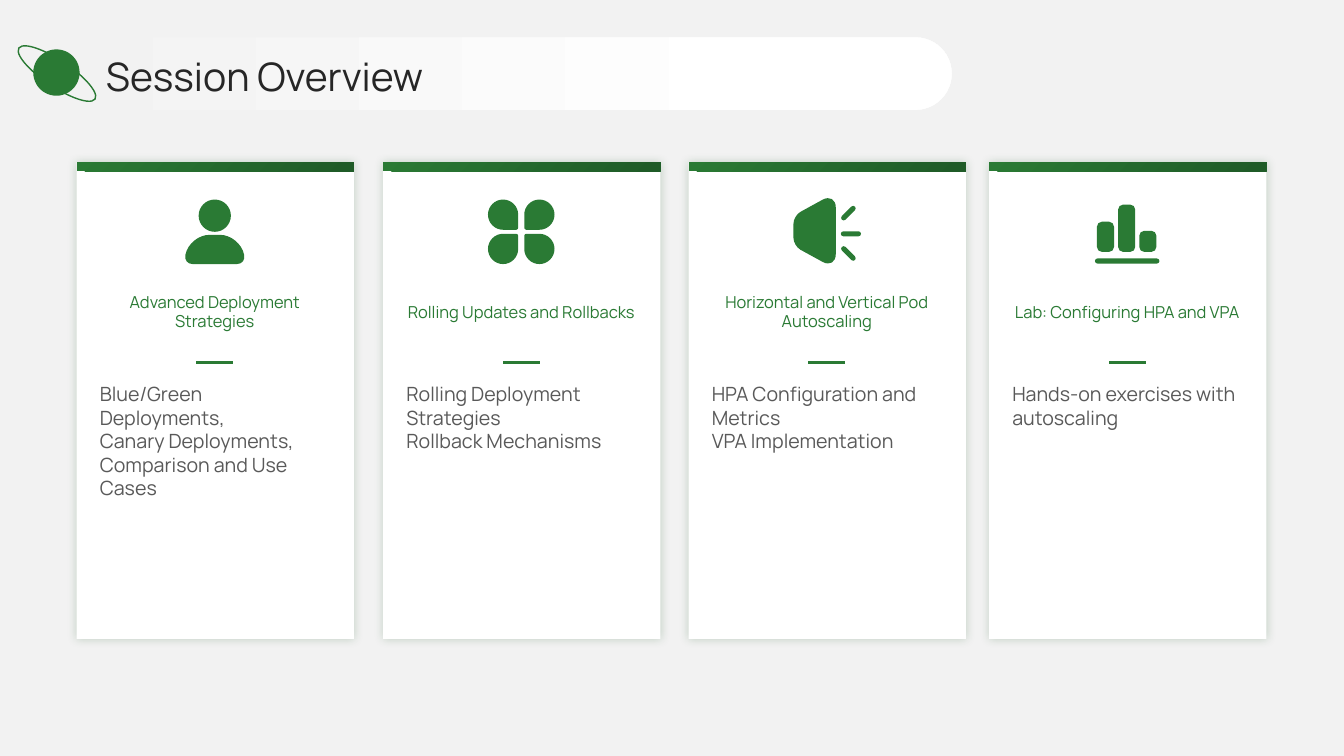
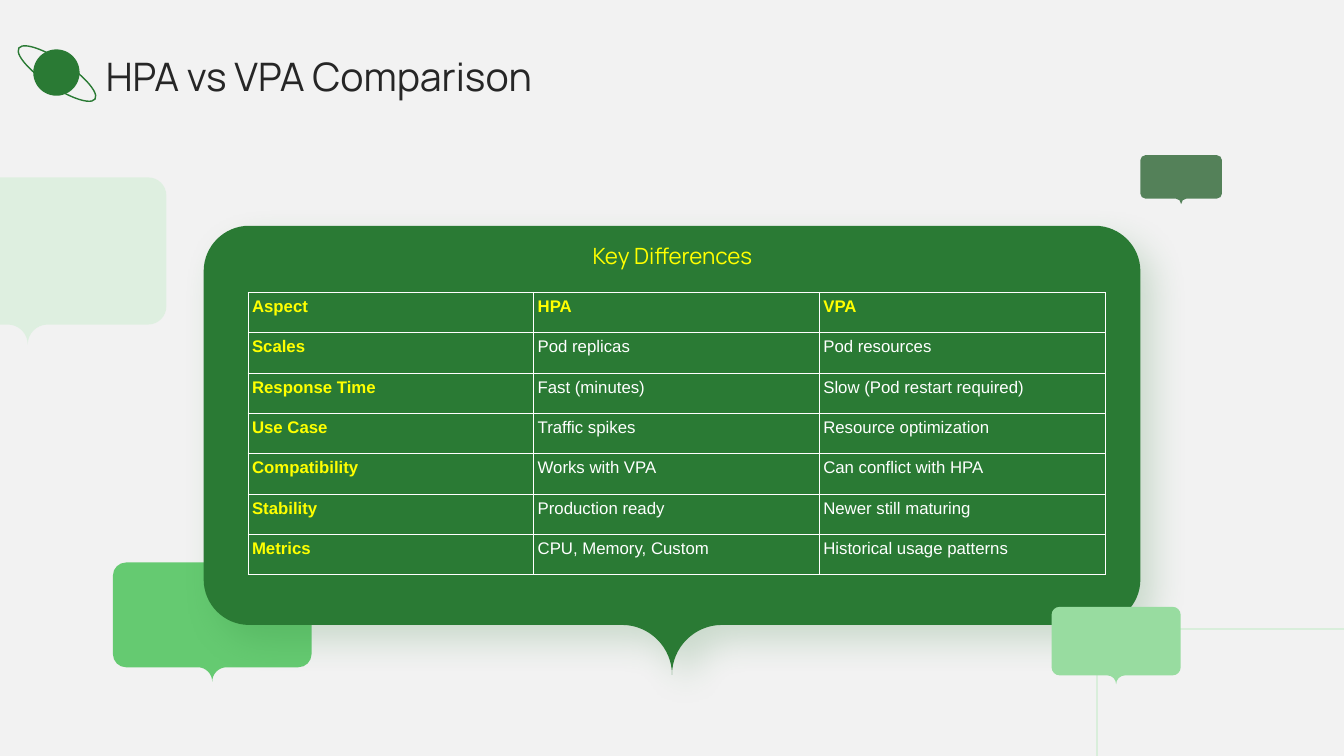
import math

from lxml import etree
from pptx import Presentation
from pptx.dml.color import RGBColor
from pptx.enum import shapes, text
from pptx.oxml import ns
from pptx.util import Inches, Pt

# Shared colours and fonts
GREEN = RGBColor(0x2A, 0x7A, 0x34)
DARK_GREEN = RGBColor(0x20, 0x5C, 0x27)
BAND_END = RGBColor(0x1F, 0x5B, 0x27)
BRIGHT_GREEN = RGBColor(0x65, 0xCA, 0x71)
SOFT_GREEN = RGBColor(0x98, 0xDC, 0xA0)
PALE_GREEN = RGBColor(0xCC, 0xED, 0xD0)
YELLOW = RGBColor(0xFF, 0xFF, 0x00)
WHITE = RGBColor(0xFF, 0xFF, 0xFF)
BACKGROUND = RGBColor(0xF2, 0xF2, 0xF2)
TITLE_COLOR = RGBColor(0x26, 0x26, 0x26)
BODY_COLOR = RGBColor(0x59, 0x59, 0x59)
TITLE_FONT = "Manrope"
TABLE_FONT = "Arial"

SLIDE_WIDTH, SLIDE_HEIGHT = 13.33, 7.5
CARD_TOP, CARD_WIDTH, CARD_HEIGHT = 1.61, 2.75, 4.73
ICON_CENTER, ICON_MIDDLE = 1.37, 2.3
ROW_HEIGHT = 0.4
CIRCLE = 0.55  # handle length that turns a cubic curve into a quarter circle


# Outlines: lists of corners, each one point or the four points of a curve
def toward(start, end, share):
    return tuple(a + (b - a) * share for a, b in zip(start, end))


def rounded(corners):
    """Turn (x, y, radius) corners into a smooth closed outline."""
    outline = []
    for index, (x, y, radius) in enumerate(corners):
        corner = (x, y)
        if not radius:
            outline.append([corner])
            continue
        start, end = [
            toward(corner, other[:2], radius / math.dist(corner, other[:2]))
            for other in (corners[index - 1], corners[(index + 1) % len(corners)])]
        outline.append([start, toward(start, corner, CIRCLE),
                        toward(end, corner, CIRCLE), end])
    return outline


def box(left, top, width, height, radius):
    right, bottom = left + width, top + height
    return rounded([(left, top, radius), (right, top, radius),
                    (right, bottom, radius), (left, bottom, radius)])


def ray(x1, y1, x2, y2, width=0.05):
    half = width / 2
    length = math.hypot(x2 - x1, y2 - y1)
    dx, dy = (y1 - y2) / length * half, (x2 - x1) / length * half
    return rounded([(x1 + dx, y1 + dy, half), (x2 + dx, y2 + dy, half),
                    (x2 - dx, y2 - dy, half), (x1 - dx, y1 - dy, half)])


def person_icon():
    body = [(-0.25, 0.03, 0.2), (0.25, 0.03, 0.2),
            (0.31, 0.32, 0.09), (-0.31, 0.32, 0.09)]
    return [box(-0.16, -0.32, 0.32, 0.32, 0.16), rounded(body)]


def petals_icon():
    return [rounded([(0.03 * sx, 0.02 * sy, 0.02), (0.33 * sx, 0.02 * sy, 0.15),
                     (0.33 * sx, 0.32 * sy, 0.15), (0.03 * sx, 0.32 * sy, 0.15)])
            for sx in (-1, 1) for sy in (-1, 1)]


def speaker_icon():
    horn = [(-0.33, -0.16, 0.08), (0.09, -0.39, 0.15),
            (0.09, 0.37, 0.15), (-0.33, 0.14, 0.08)]
    return [rounded(horn), ray(0.14, 0.02, 0.34, 0.02),
            ray(0.15, -0.12, 0.28, -0.25), ray(0.15, 0.15, 0.28, 0.28)]


def bars_icon():
    bars = [(-0.3, 0.3), (-0.09, 0.47), (0.12, 0.21)]
    return [ray(-0.32, 0.29, 0.32, 0.29)] + [
        box(left, 0.2 - height, 0.17, height, 0.05) for left, height in bars]


# Element builders
def inches(*lengths):
    return [Inches(length) for length in lengths]


def paint(shape, fill=None, line=None):
    shape.shadow.inherit = False
    if fill is None:
        shape.fill.background()
    else:
        shape.fill.solid()
        shape.fill.fore_color.rgb = fill
    if line is None:
        shape.line.fill.background()
    else:
        shape.line.color.rgb = line
        shape.line.width = Pt(1)
    return shape


def paint_gradient(shape, start, end, end_position, angle):
    shape.fill.gradient()
    shape.fill.gradient_angle = angle
    for stop, color, position in zip(shape.fill.gradient_stops,
                                     (start, end), (0, end_position)):
        stop.color.rgb = color
        stop.position = position


def add_alpha(color_element, percent):
    etree.SubElement(color_element, ns.qn("a:alpha"), val=str(percent * 1000))


def add_shadow(shape, color, percent, blur, distance=0, direction=0):
    effects = shape.element.spPr.find(ns.qn("a:effectLst"))
    shadow = etree.SubElement(
        effects, ns.qn("a:outerShdw"), blurRad=str(Pt(blur)), dist=str(Pt(distance)),
        dir=str(direction * 60000), rotWithShape="0")
    add_alpha(etree.SubElement(shadow, ns.qn("a:srgbClr"), val=str(color)), percent)


def add_preset(slide, kind, left, top, width, height, fill=None, line=None):
    shape = slide.shapes.add_shape(kind, *inches(left, top, width, height))
    return paint(shape, fill, line)


def bend_corners(shape, outlines):
    """Join the last three points of each rounded corner into one curve."""
    steps = iter(list(next(shape.element.iter(ns.qn("a:pathLst")))[0]))
    for outline in outlines:
        for corner in outline:
            points = [next(steps) for _ in corner]
            if len(points) == 4:
                curve = etree.Element(ns.qn("a:cubicBezTo"))
                points[0].addnext(curve)
                for point in points[1:]:
                    curve.append(point[0])
                    point.getparent().remove(point)
        next(steps)  # the closing step


def add_outline(slide, outlines, x=0, y=0, fill=None, line=None):
    builder = None
    for outline in outlines:
        points = [inches(x + px, y + py) for corner in outline for px, py in corner]
        if builder is None:
            builder = slide.shapes.build_freeform(*points[0])
        else:
            builder.move_to(*points[0])
        builder.add_line_segments(points[1:], close=True)
    shape = builder.convert_to_shape()
    bend_corners(shape, outlines)
    return paint(shape, fill, line)


def add_bubble(slide, left, top, width, height, radius, fill=None, line=None):
    right, bottom, center = left + width, top + height, left + width / 2
    tail = radius * 1.1
    corners = [(left, top, radius), (right, top, radius), (right, bottom, radius),
               (center, bottom, tail), (center, bottom + tail, 0),
               (center, bottom, tail), (left, bottom, radius)]
    return add_outline(slide, [rounded(corners)], fill=fill, line=line)


def add_run(paragraph, words, size, color, font=TITLE_FONT, bold=False):
    run = paragraph.add_run()
    run.text = words
    run.font.size = Pt(size)
    run.font.name = font
    run.font.bold = bold
    run.font.color.rgb = color


def write(shape, lines, size, color, align=text.PP_ALIGN.LEFT,
          anchor=text.MSO_ANCHOR.TOP):
    frame = shape.text_frame
    frame.word_wrap = True
    frame.auto_size = text.MSO_AUTO_SIZE.NONE
    frame.vertical_anchor = anchor
    frame.margin_left = frame.margin_right = frame.margin_top = frame.margin_bottom = 0
    for index, words in enumerate(lines):
        paragraph = frame.add_paragraph() if index else frame.paragraphs[0]
        paragraph.alignment = align
        add_run(paragraph, words, size, color)


def add_text(slide, position, lines, size, color, **layout):
    write(slide.shapes.add_textbox(*inches(*position)), lines, size, color, **layout)


def add_accent_line(slide, left, top, length):
    connector = slide.shapes.add_connector(
        shapes.MSO_CONNECTOR.STRAIGHT, *inches(left, top, left + length, top))
    connector.line.color.rgb = GREEN
    connector.line.width = Pt(2.25)
    properties = connector.element.spPr
    properties.find(ns.qn("a:ln")).set("cap", "sq")
    etree.SubElement(properties, ns.qn("a:effectLst"))


def add_titled_slide(presentation, words, banner=False):
    slide = presentation.slides.add_slide(presentation.slide_layouts[5])
    add_preset(slide, shapes.MSO_SHAPE.RECTANGLE, 0, 0, SLIDE_WIDTH, SLIDE_HEIGHT,
               fill=BACKGROUND)
    if banner:
        shape = add_preset(slide, shapes.MSO_SHAPE.ROUNDED_RECTANGLE, 0.5, 0.37, 8.94, 0.72)
        shape.adjustments[0] = 0.5
        paint_gradient(shape, BACKGROUND, WHITE, 0.8, 0)
    title = slide.shapes.title
    title.left, title.top, title.width, title.height = inches(1.05, 0.5, 11.67, 0.51)
    write(title, [words], 28, TITLE_COLOR, anchor=text.MSO_ANCHOR.MIDDLE)
    title.element.getparent().append(title.element)  # in front of the backdrop
    # Planet with its ring
    add_preset(slide, shapes.MSO_SHAPE.OVAL, 0.33, 0.49, 0.46, 0.46, fill=GREEN)
    ring = add_preset(slide, shapes.MSO_SHAPE.OVAL, 0.11, 0.6, 0.91, 0.26, line=GREEN)
    ring.rotation = 33.8
    return slide


def add_card(slide, left, icon, heading, lines):
    card = add_preset(slide, shapes.MSO_SHAPE.RECTANGLE,
                      left, CARD_TOP, CARD_WIDTH, CARD_HEIGHT, fill=WHITE)
    add_shadow(card, DARK_GREEN, 24, 7)
    band = add_preset(slide, shapes.MSO_SHAPE.RECTANGLE, left, CARD_TOP, CARD_WIDTH, 0.09)
    paint_gradient(band, GREEN, BAND_END, 0.98, 315)
    add_outline(slide, icon, left + ICON_CENTER, ICON_MIDDLE, fill=GREEN)
    add_text(slide, (left + 0.19, 2.68, 2.36, 0.82), [heading], 11.8, GREEN,
             align=text.PP_ALIGN.CENTER, anchor=text.MSO_ANCHOR.MIDDLE)
    add_accent_line(slide, left + 1.2, 3.6, 0.34)
    add_text(slide, (left + 0.23, 3.79, 2.27, 2.28), lines, 14, BODY_COLOR)


def add_borders(cell, color, width):
    properties = cell._tc.get_or_add_tcPr()
    for side in ("lnL", "lnR", "lnT", "lnB"):
        border = etree.SubElement(properties, ns.qn(f"a:{side}"), w=str(Pt(width)))
        fill = etree.SubElement(border, ns.qn("a:solidFill"))
        etree.SubElement(fill, ns.qn("a:srgbClr"), val=str(color))


def add_comparison_table(slide, rows):
    frame = slide.shapes.add_table(
        len(rows), len(rows[0]), *inches(2.46, 2.9, 8.5, ROW_HEIGHT * len(rows)))
    table = frame.table
    table.first_row = table.horz_banding = False
    for row_index, row in enumerate(rows):
        for column_index, words in enumerate(row):
            cell = table.cell(row_index, column_index)
            add_borders(cell, WHITE, 0.57)
            cell.fill.background()
            cell.margin_left = cell.margin_right = Inches(0.04)
            cell.margin_top = cell.margin_bottom = Inches(0.05)
            is_label = row_index == 0 or column_index == 0
            add_run(cell.text_frame.paragraphs[0], words, 12,
                    YELLOW if is_label else WHITE, TABLE_FONT, is_label)


# Slides
def build_overview(presentation):
    slide = add_titled_slide(presentation, "Session Overview", banner=True)
    cards = [
        (0.76, person_icon(), "Advanced Deployment Strategies",
         ["Blue/Green Deployments,", "Canary Deployments,", "Comparison and Use Cases"]),
        (3.8, petals_icon(), "Rolling Updates and Rollbacks",
         ["Rolling Deployment Strategies", "Rollback Mechanisms"]),
        (6.83, speaker_icon(), "Horizontal and Vertical Pod Autoscaling",
         ["HPA Configuration and Metrics", "VPA Implementation"]),
        (9.81, bars_icon(), "Lab: Configuring HPA and VPA",
         ["Hands-on exercises with autoscaling"]),
    ]
    for card in cards:
        add_card(slide, *card)


def build_comparison(presentation):
    slide = add_titled_slide(presentation, "HPA vs VPA Comparison")
    # Speech bubbles, from back to front
    add_bubble(slide, 1.12, 5.58, 1.97, 1.04, 0.13, fill=BRIGHT_GREEN)
    panel = add_bubble(slide, 2.02, 2.24, 9.29, 3.96, 0.45, fill=GREEN)
    add_shadow(panel, GREEN, 20, 25, 15, 50)
    dark = add_bubble(slide, 11.31, 1.54, 0.81, 0.43, 0.05, fill=DARK_GREEN)
    pale = add_bubble(slide, -1.1, 1.76, 2.75, 1.46, 0.18, fill=PALE_GREEN)
    for bubble, percent in ((dark, 75), (pale, 50)):
        add_alpha(bubble.element.spPr.find(ns.qn("a:solidFill"))[0], percent)
    add_bubble(slide, 10.88, 6.24, 3.72, 1.97, 0.24, line=PALE_GREEN)
    add_bubble(slide, 10.43, 6.02, 1.28, 0.68, 0.08, fill=SOFT_GREEN)
    # Heading and table on the large bubble
    add_text(slide, (3.57, 2.13, 6.2, 0.54), ["Key Differences"], 16, YELLOW,
             align=text.PP_ALIGN.CENTER, anchor=text.MSO_ANCHOR.BOTTOM)
    add_comparison_table(slide, [
        ("Aspect", "HPA", "VPA"),
        ("Scales", "Pod replicas", "Pod resources"),
        ("Response Time", "Fast (minutes)", "Slow (Pod restart required)"),
        ("Use Case", "Traffic spikes", "Resource optimization"),
        ("Compatibility", "Works with VPA", "Can conflict with HPA"),
        ("Stability", "Production ready", "Newer still maturing"),
        ("Metrics", "CPU, Memory, Custom", "Historical usage patterns"),
    ])


def main():
    presentation = Presentation()
    presentation.slide_width, presentation.slide_height = inches(SLIDE_WIDTH, SLIDE_HEIGHT)
    build_overview(presentation)
    build_comparison(presentation)
    presentation.save("out.pptx")


if __name__ == "__main__":
    main()
